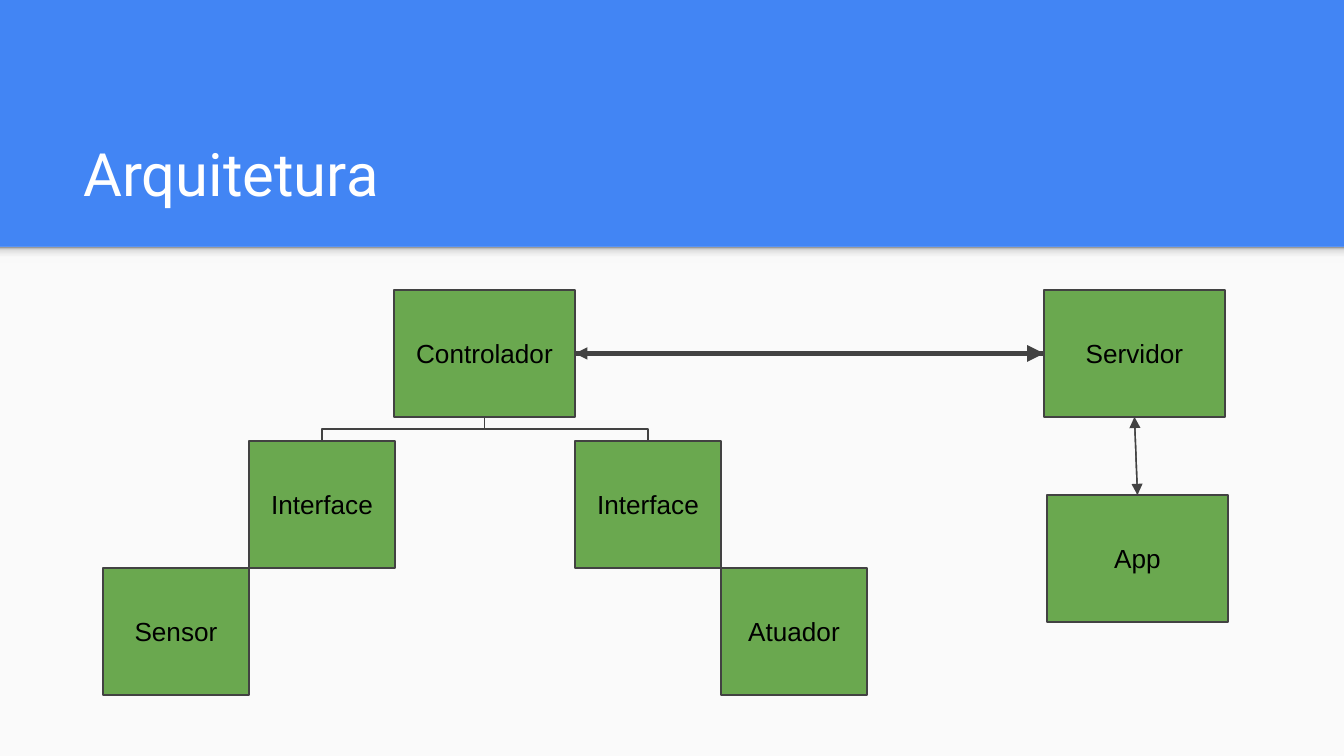
from lxml import etree
from pptx import Presentation
from pptx.dml.color import RGBColor
from pptx.enum.shapes import MSO_CONNECTOR, MSO_SHAPE
from pptx.enum.text import MSO_ANCHOR, PP_ALIGN
from pptx.oxml.ns import qn
from pptx.util import Pt

RECT = MSO_SHAPE.RECTANGLE
STRAIGHT, ELBOW = MSO_CONNECTOR.STRAIGHT, MSO_CONNECTOR.ELBOW
CENTER, LEFT = PP_ALIGN.CENTER, PP_ALIGN.LEFT
MIDDLE, BOTTOM = MSO_ANCHOR.MIDDLE, MSO_ANCHOR.BOTTOM
TOP_SIDE, LEFT_SIDE, BOTTOM_SIDE, RIGHT_SIDE = range(4)

BLUE, PAPER, GREEN, DARK = "4285F4", "FAFAFA", "6AA84F", "424242"
WIDTH, HEIGHT, HEADER = 1344, 756, 247
NARROW, WIDE, BOX_HEIGHT = 146, 181, 127

TITLE = "Arquitetura"
SHADOW_STOPS = [(0, "F9F9F9"), (36, "F9F9F9"), (80, "DEDEDE"), (100, "999999")]
# key: label, left, top, width
BOXES = {
    "sensor": ("Sensor", 103, 568, NARROW),
    "sensor interface": ("Interface", 249, 441, NARROW),
    "controller": ("Controlador", 394, 290, WIDE),
    "actuator": ("Atuador", 721, 568, NARROW),
    "actuator interface": ("Interface", 575, 441, NARROW),
    "server": ("Servidor", 1044, 290, WIDE),
    "app": ("App", 1047, 495, WIDE),
}
# start box, side, end box, side, line width in points
ARROWS = [
    ("controller", RIGHT_SIDE, "server", LEFT_SIDE, 3),
    ("server", BOTTOM_SIDE, "app", TOP_SIDE, 0.75),
    ("app", TOP_SIDE, "server", BOTTOM_SIDE, 0.75),
    ("server", LEFT_SIDE, "controller", RIGHT_SIDE, 2.25),
]
BRANCHES = ["actuator interface", "sensor interface"]


def px(n):
    return round(n * 914400 / 134.4)


def color(value):
    return RGBColor.from_string(value)


def add_rect(left, top, width, height, fill):
    rect = slide.shapes.add_shape(RECT, px(left), px(top), px(width), px(height))
    rect.shadow.inherit = False
    rect.fill.solid()
    rect.fill.fore_color.rgb = color(fill)
    rect.line.fill.background()
    return rect


def write(shape, text, size, font, ink, align, anchor):
    frame = shape.text_frame
    frame.text = text
    frame.word_wrap = True
    frame.vertical_anchor = anchor
    frame.margin_left = frame.margin_right = px(13.44)
    frame.margin_top = frame.margin_bottom = px(13.44)
    paragraph = frame.paragraphs[0]
    paragraph.alignment = align
    style = paragraph.runs[0].font
    style.size, style.name = Pt(size), font
    style.color.rgb = color(ink)


def connect(kind, start, start_side, end, end_side, width):
    link = slide.shapes.add_connector(kind, 0, 0, 0, 0)
    link.begin_connect(boxes[start], start_side)
    link.end_connect(boxes[end], end_side)
    link.line.color.rgb = color(DARK)
    link.line.width = Pt(width)
    etree.SubElement(link._element.spPr, qn("a:effectLst"))
    return link


prs = Presentation()
prs.slide_width, prs.slide_height = px(WIDTH), px(HEIGHT)
slide = prs.slides.add_slide(prs.slide_layouts[6])

# Blue header, pale body and the soft shadow between them
slide.background.fill.solid()
slide.background.fill.fore_color.rgb = color(BLUE)
add_rect(0, HEADER, WIDTH, HEIGHT - HEADER, PAPER)
shadow = add_rect(0, HEADER, WIDTH, 16, PAPER)
shadow.fill.gradient()
shadow.fill.gradient_angle = 90
stops = shadow._element.spPr.find(".//" + qn("a:gsLst"))
for stop in list(stops):
    stops.remove(stop)
for percent, value in SHADOW_STOPS:
    stop = etree.SubElement(stops, qn("a:gs"), pos=str(percent * 1000))
    etree.SubElement(stop, qn("a:srgbClr"), val=value)

# Title
title = slide.shapes.add_textbox(px(70), px(109), px(1208), px(113))
write(title, TITLE, 32, "Roboto", "FFFFFF", LEFT, BOTTOM)

# Component boxes
boxes = {}
for key, (label, left, top, width) in BOXES.items():
    box = boxes[key] = add_rect(left, top, width, BOX_HEIGHT, GREEN)
    box.line.color.rgb = color(DARK)
    box.line.width = Pt(0.75)
    write(box, label, 14, "Arial", "000000", CENTER, MIDDLE)

# Arrows, each with a head at its end
for arrow in ARROWS:
    link = connect(STRAIGHT, *arrow)
    etree.SubElement(link.line._get_or_add_ln(), qn("a:tailEnd"), type="triangle")

# Branches from the controller: elbows turned a quarter so they leave downwards
controller = boxes["controller"]
start_x = controller.left + controller.width // 2
start_y = controller.top + controller.height
for key in BRANCHES:
    interface = boxes[key]
    branch = connect(ELBOW, "controller", BOTTOM_SIDE, key, TOP_SIDE, 0.75)
    end_x = interface.left + interface.width // 2
    drop, span = interface.top - start_y, abs(end_x - start_x)
    branch.width, branch.height = drop, span
    branch.left = (start_x + end_x - drop) // 2
    branch.top = (start_y + interface.top - span) // 2
    to_right = end_x > start_x
    xfrm = branch._element.spPr.find(qn("a:xfrm"))
    xfrm.set("rot", str((270 if to_right else 90) * 60000))
    xfrm.set("flipH", str(int(to_right)))
    xfrm.set("flipV", "0")

prs.save("out.pptx")
